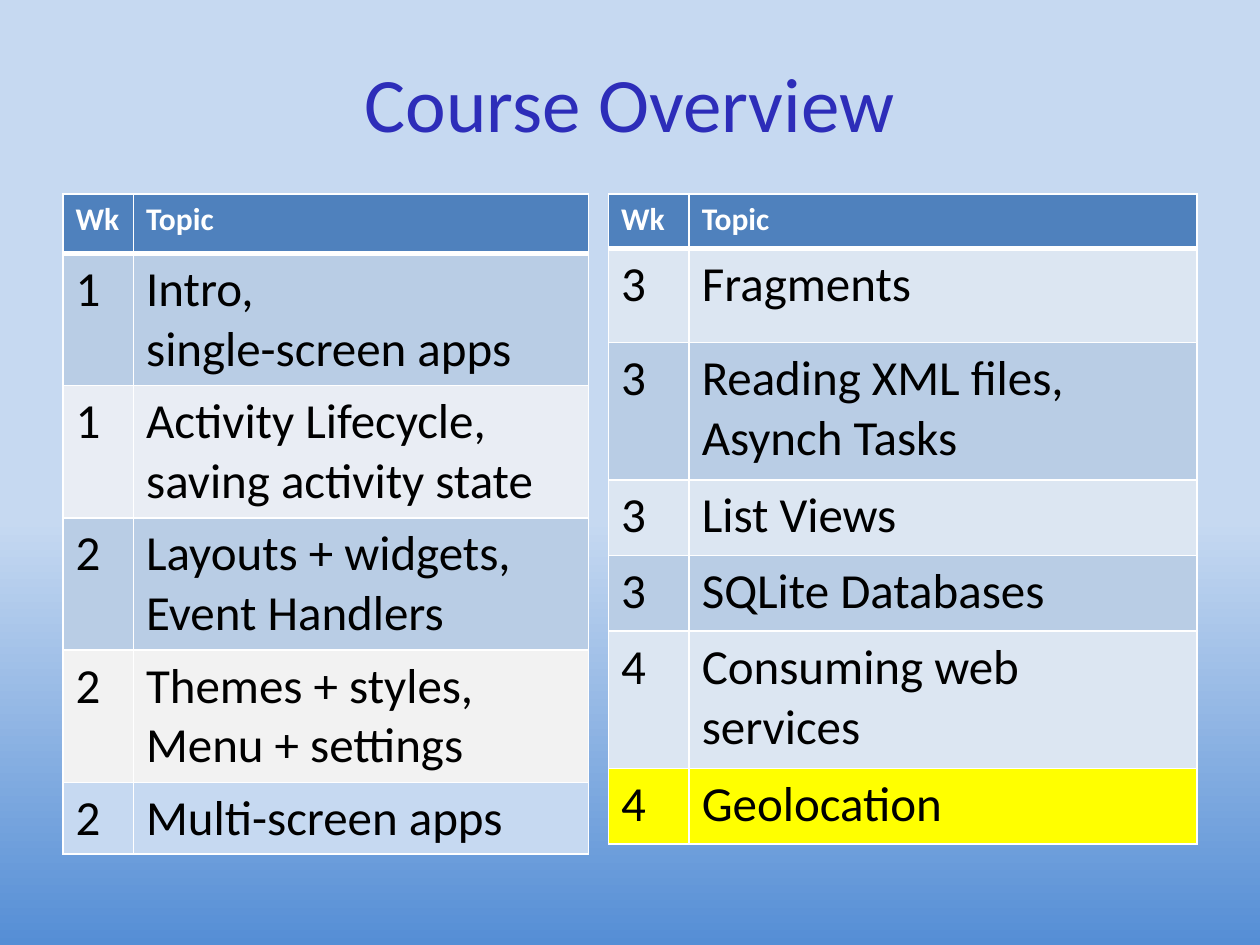
"""Build the course overview slide with its two tables of weekly topics."""
import pptx
import pptx.dml.color
import pptx.enum.text
import pptx.oxml
import pptx.oxml.ns
import pptx.util

Inches = pptx.util.Inches
Pt = pptx.util.Pt

HUES = {
    "sky": "C6D9F1", "deep": "558ED5", "title": "2D2DB9", "head": "4F81BD",
    "blue": "B9CDE5", "pale": "DCE6F2", "mist": "E9EDF4", "grey": "F2F2F2",
    "mark": "FFFF00", "white": "FFFFFF", "black": "000000",
}
FONT = "Calibri"

FIRST = [
    ("1", "Intro, \vsingle-screen apps", "blue", 1.05),
    ("1", "Activity Lifecycle, saving activity state", "mist", 1.05),
    ("2", "Layouts + widgets,\nEvent Handlers", "blue", 1.05),
    ("2", "Themes + styles,\nMenu + settings", "grey", 1.05),
    ("2", "Multi-screen apps", "sky", 0.57),
]
SECOND = [
    ("3", "Fragments", "pale", 0.75),
    ("3", "Reading XML files,\nAsynch Tasks", "blue", 1.09),
    ("3", "List Views", "pale", 0.6),
    ("3", "SQLite Databases", "blue", 0.6),
    ("4", "Consuming web services", "pale", 1.09),
    ("4", "Geolocation", "mark", 0.6),
]


def tint(name):
    return pptx.dml.color.RGBColor.from_string(HUES[name])


def style(frame, size, hue, bold=False):
    for para in frame.paragraphs:
        font = para.font
        font.name, font.size, font.bold = FONT, Pt(size), bold
        font.color.rgb = tint(hue)


def paint(slide):
    fill = slide.background.fill
    fill.gradient()
    fill.gradient_angle = 270
    for stop, (place, hue) in zip(fill.gradient_stops, [(0.55, "sky"), (1, "deep")]):
        stop.position = place
        stop.color.rgb = tint(hue)


def add_title(slide, text):
    frame = slide.shapes.add_textbox(Inches(0.5), Inches(0.3), Inches(9), Inches(1.02)).text_frame
    frame.word_wrap = True
    frame.vertical_anchor = pptx.enum.text.MSO_ANCHOR.MIDDLE
    frame.text = text
    frame.paragraphs[0].alignment = pptx.enum.text.PP_ALIGN.CENTER
    style(frame, 44, "title")


def edge(cell, row):
    props = cell._tc.get_or_add_tcPr()
    wide = {"T": 3 if row == 1 else 1, "B": 3 if row == 0 else 1}
    for side in "LRTB":
        props.append(pptx.oxml.parse_xml(
            f'<a:ln{side} {pptx.oxml.ns.nsdecls("a")} w="{Pt(wide.get(side, 1))}">'
            f'<a:solidFill><a:srgbClr val="{HUES["white"]}"/></a:solidFill></a:ln{side}>'))


def add_grid(slide, left, cols, head, topics):
    rows = [("Wk", "Topic", "head", head)] + topics
    high = sum(row[3] for row in rows)
    table = slide.shapes.add_table(
        len(rows), len(cols), Inches(left), Inches(1.54), Inches(sum(cols)), Inches(high)).table
    for col, width in zip(table.columns, cols):
        col.width = Inches(width)
    for i, (week, topic, hue, tall) in enumerate(rows):
        table.rows[i].height = Inches(tall)
        for cell, text in zip(table.rows[i].cells, (week, topic)):
            edge(cell, i)
            cell.fill.solid()
            cell.fill.fore_color.rgb = tint(hue)
            cell.text = text
            if i == 0:
                style(cell.text_frame, 18, "white", True)
            else:
                style(cell.text_frame, 28, "black")


def main():
    deck = pptx.Presentation()
    deck.slide_width, deck.slide_height = Inches(10), Inches(7.5)
    slide = deck.slides.add_slide(deck.slide_layouts[6])
    paint(slide)
    add_title(slide, "Course Overview")
    add_grid(slide, 0.5, (0.56, 3.61), 0.47, FIRST)
    add_grid(slide, 4.83, (0.64, 4.03), 0.43, SECOND)
    deck.save("out.pptx")


if __name__ == "__main__":
    main()
